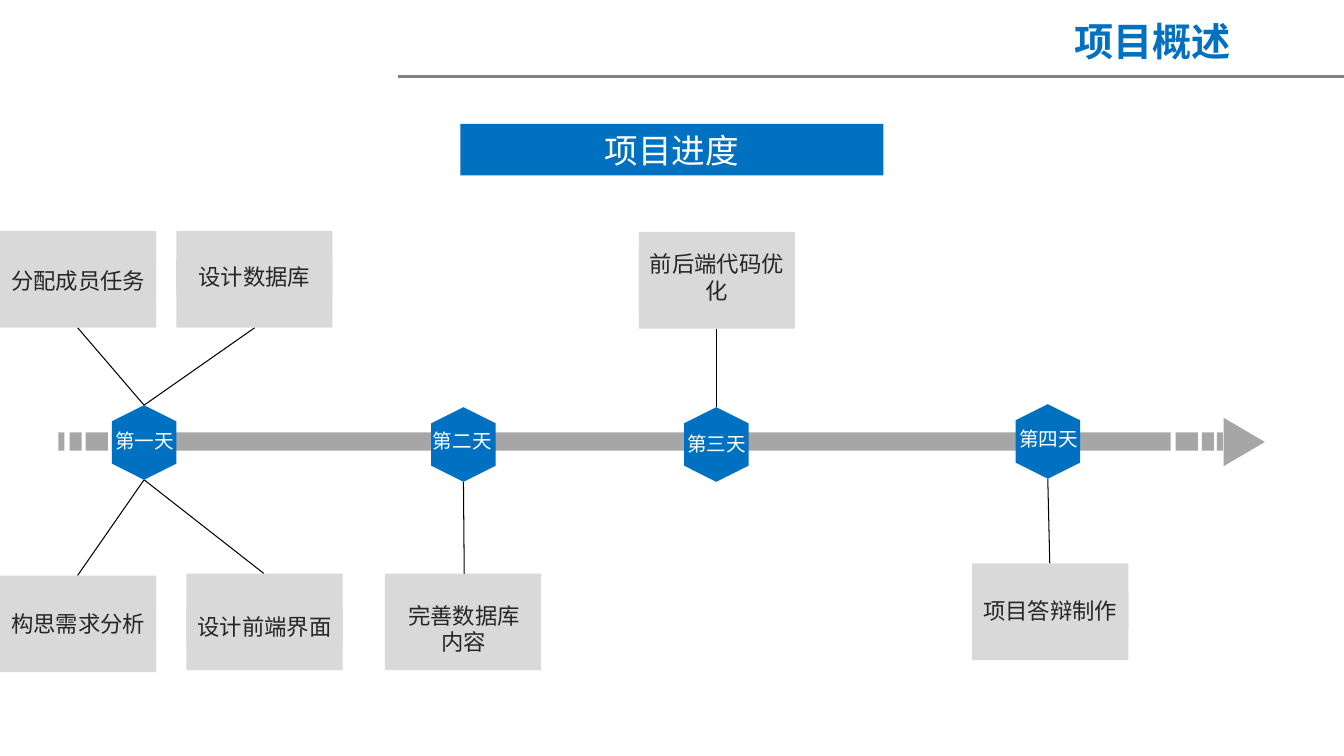
import pptx
import pptx.util
import pptx.dml.color
import pptx.enum.shapes
import pptx.enum.text
import pptx.oxml.ns
import lxml.etree

Inches, Pt = pptx.util.Inches, pptx.util.Pt
RGBColor = pptx.dml.color.RGBColor
SHAPE = pptx.enum.shapes.MSO_SHAPE
ANCHOR = pptx.enum.text.MSO_ANCHOR
qn = pptx.oxml.ns.qn

BLUE = RGBColor(0x00, 0x70, 0xC0)
WHITE = RGBColor(0xFF, 0xFF, 0xFF)
BLACK = RGBColor(0x00, 0x00, 0x00)
DARK = RGBColor(0x26, 0x26, 0x26)
RULE_GRAY = RGBColor(0x80, 0x80, 0x80)
BAR_GRAY = RGBColor(0xA6, 0xA6, 0xA6)
CARD_GRAY = RGBColor(0xD9, 0xD9, 0xD9)
FONT = "Noto Sans CJK SC"

prs = pptx.Presentation()
prs.slide_width, prs.slide_height = Inches(13.34), Inches(7.5)
s = prs.slides.add_slide(prs.slide_layouts[5])


def add_block(kind, x, y, w, h, fill, rotation=0):
    sp = s.shapes.add_shape(kind, Inches(x), Inches(y), Inches(w), Inches(h))
    sp.shadow.inherit = False
    sp.fill.solid()
    sp.fill.fore_color.rgb = fill
    sp.line.fill.background()
    sp.rotation = rotation
    return sp


def write(sp, text, size, color, bold=False, anchor=ANCHOR.TOP):
    tf = sp.text_frame
    tf.word_wrap = True
    tf.vertical_anchor = anchor
    p = tf.paragraphs[0]
    p.alignment = pptx.enum.text.PP_ALIGN.CENTER
    r = p.add_run()
    r.text = text
    for name, value in {"size": Pt(size), "bold": bold, "name": FONT}.items():
        setattr(r.font, name, value)
    r.font.color.rgb = color
    # East Asian typeface
    lxml.etree.SubElement(r.font._element, qn("a:ea")).set("typeface", FONT)


# Title
title = s.shapes.title
title.left, title.top = Inches(9.64), Inches(0.12)
title.width, title.height = Inches(3.6), Inches(0.6)
write(title, "项目概述", 28, BLUE, bold=True)

# Banner
banner = add_block(SHAPE.RECTANGLE, 4.57, 1.23, 4.2, 0.51, BLUE)
write(banner, "项目进度", 24, WHITE, anchor=ANCHOR.MIDDLE)

# Timeline bar, broken up at both ends, with its arrowhead
for x, w in [(0.58, 0.06), (0.69, 0.12), (0.85, 0.22), (1.11, 10.51),
             (11.67, 0.22), (11.93, 0.12), (12.08, 0.06)]:
    add_block(SHAPE.RECTANGLE, x, 4.29, w, 0.18, BAR_GRAY)
add_block(SHAPE.ISOSCELES_TRIANGLE, 12.11, 4.18, 0.48, 0.41, BAR_GRAY, 90)

# Title rule, then the lines from days to task cards
for x1, y1, x2, y2, color, width in [
    (3.95, 0.76, 13.34, 0.76, RULE_GRAY, 2),
    (0.77, 3.25, 1.43, 4.02, BLACK, 0.75),
    (2.53, 3.25, 1.43, 4.02, BLACK, 0.75),
    (1.43, 4.76, 0.77, 5.71, BLACK, 0.75),
    (1.43, 4.76, 2.62, 5.69, BLACK, 0.75),
    (4.6, 4.78, 4.61, 5.92, BLACK, 0.75),
    (7.11, 3.26, 7.11, 4.04, BLACK, 0.75),
    (10.4, 4.75, 10.42, 5.59, BLACK, 0.75),
]:
    line = s.shapes.add_connector(
        pptx.enum.shapes.MSO_CONNECTOR.STRAIGHT,
        Inches(x1), Inches(y1), Inches(x2), Inches(y2))
    line.line.color.rgb = color
    line.line.width = Pt(width)
    lxml.etree.SubElement(line._element.spPr, qn("a:effectLst"))

# Days: hexagon position, then label position and width
for day, x, y, label_x, label_y, label_w in [
    ("第一天", 1.06, 4.07, 1.02, 4.21, 0.83),
    ("第二天", 4.23, 4.09, 4.13, 4.21, 0.92),
    ("第三天", 6.74, 4.09, 6.66, 4.24, 0.91),
    ("第四天", 10.03, 4.06, 9.96, 4.19, 0.9),
]:
    add_block(SHAPE.HEXAGON, x, y, 0.74, 0.64, BLUE, 90)
    label = s.shapes.add_textbox(Inches(label_x), Inches(label_y),
                                 Inches(label_w), Inches(0.35))
    write(label, day, 14, WHITE)

# Task cards: card position, then label position, width and height
for task, x, y, label_x, label_y, label_w, label_h in [
    ("分配成员任务", 0, 2.29, 0, 2.6, 1.55, 0.37),
    ("设计数据库", 1.75, 2.29, 1.75, 2.56, 1.55, 0.37),
    ("构思需求分析", 0, 5.71, 0, 6, 1.55, 0.37),
    ("设计前端界面", 1.85, 5.69, 1.85, 6.03, 1.55, 0.37),
    ("完善数据库内容", 3.82, 5.69, 3.89, 5.92, 1.43, 0.64),
    ("前后端代码优化", 6.34, 2.3, 6.34, 2.43, 1.55, 0.64),
    ("项目答辩制作", 9.65, 5.59, 9.65, 5.87, 1.55, 0.37),
]:
    add_block(SHAPE.RECTANGLE, x, y, 1.55, 0.96, CARD_GRAY)
    label = add_block(SHAPE.RECTANGLE, label_x, label_y, label_w, label_h, CARD_GRAY)
    write(label, task, 16, DARK)

prs.save("out.pptx")
